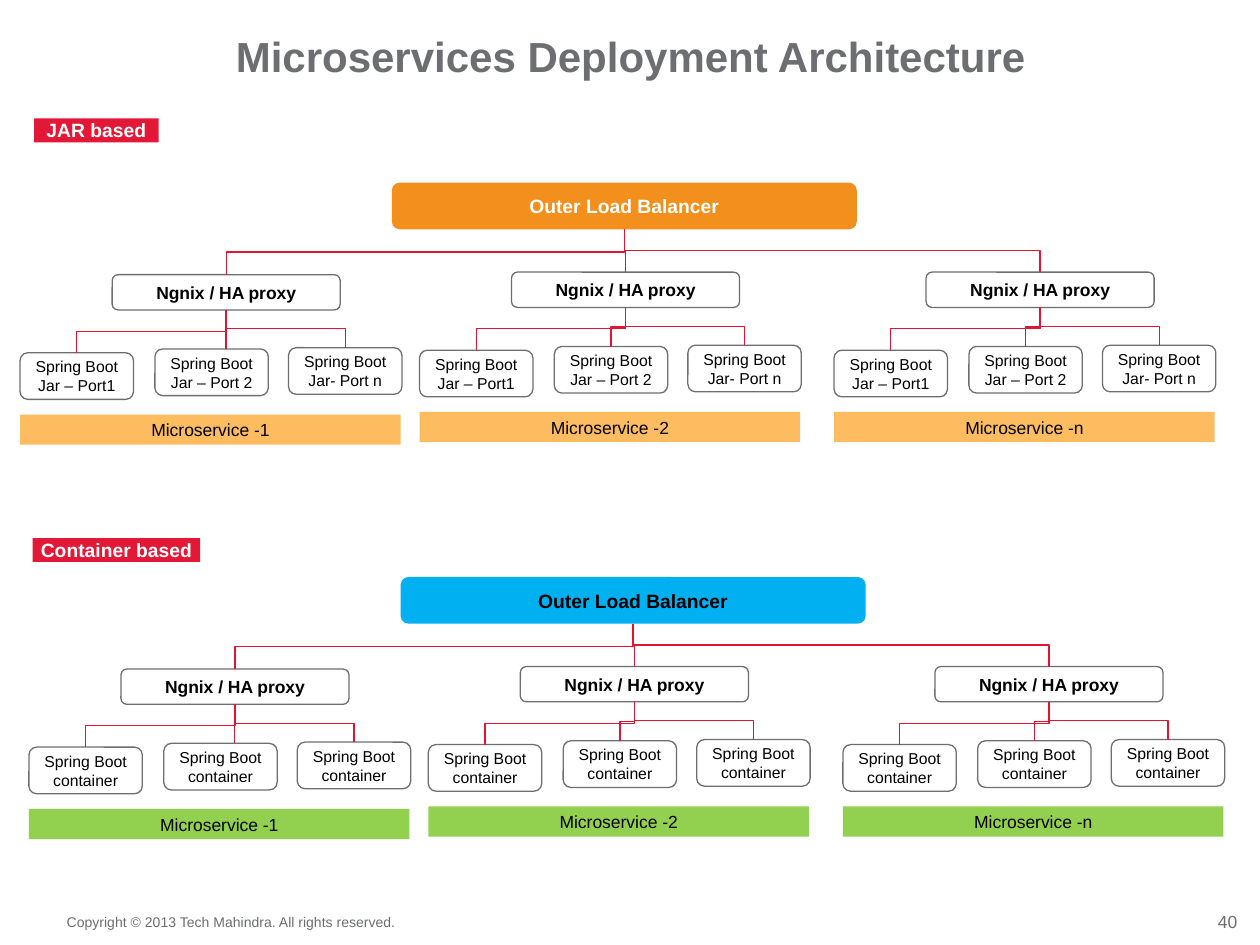
from lxml import etree
from pptx import Presentation
from pptx.dml.color import RGBColor
from pptx.enum.shapes import MSO_CONNECTOR as Link, MSO_SHAPE as Shape
from pptx.enum.text import MSO_ANCHOR as Anchor, MSO_AUTO_SIZE as Fit, PP_ALIGN as Align
from pptx.oxml.ns import qn
from pptx.util import Inches, Pt


def color(code):
    return RGBColor.from_string(code)


def write(frame, text, size=10, ink="000000", bold=False, align=Align.CENTER,
          anchor=Anchor.MIDDLE, wrap=True, tight=False):
    frame.word_wrap = wrap
    frame.vertical_anchor = anchor
    if tight:
        frame.margin_left = frame.margin_right = 0
        frame.margin_top = frame.margin_bottom = 0
        frame.auto_size = Fit.SHAPE_TO_FIT_TEXT
    para = frame.paragraphs[0]
    para.alignment = align
    span = para.add_run()
    span.text = text
    span.font.name = "Arial"
    span.font.size = Pt(size)
    span.font.bold = bold
    span.font.color.rgb = color(ink)


class Diagram:
    GREY = "6D6E71"
    LINK_RED = "E31332"
    LABEL_RED = "E31837"

    def __init__(self, page):
        self.page = page

    def text(self, at, text, **style):
        box = self.page.shapes.add_textbox(*map(Inches, at))
        write(box.text_frame, text, tight=True, **style)

    def box(self, at, text, fill="FFFFFF", kind=Shape.ROUNDED_RECTANGLE, line=None, **style):
        box = self.page.shapes.add_shape(kind, *map(Inches, at))
        box.shadow.inherit = False
        box.fill.solid()
        box.fill.fore_color.rgb = color(fill)
        if line:
            box.line.color.rgb = color(line)
            box.line.width = Pt(0.75)
        else:
            box.line.fill.background()
        write(box.text_frame, text, **style)

    def label(self, at, text):
        self.box(at, text, self.LABEL_RED, Shape.RECTANGLE, size=11, ink="FFFFFF",
                 bold=True, anchor=Anchor.TOP, tight=True)

    def branch(self, start, end):
        """Elbow that leaves downwards: a sideways elbow turned a quarter about its centre."""
        (x1, y1), (x2, y2) = start, end
        mid_x, mid_y = (x1 + x2) / 2, (y1 + y2) / 2
        half_run, half_drop = abs(x2 - x1) / 2, (y2 - y1) / 2
        rightward = x2 >= x1
        if rightward:
            half_drop = -half_drop
        ends = (mid_x - half_drop, mid_y - half_run, mid_x + half_drop, mid_y + half_run)
        link = self.page.shapes.add_connector(Link.ELBOW, *map(Inches, ends))
        link.line.color.rgb = color(self.LINK_RED)
        link.line.width = Pt(0.75)
        properties = link._element.spPr
        degrees = 270 if rightward else 90
        properties.find(qn("a:xfrm")).set("rot", str(degrees * 60000))
        etree.SubElement(properties, qn("a:effectLst"))

    def service(self, name, x, y, leaves, fill, straight_middle):
        """Proxy, its three instances and the name bar; x, y is the proxy's corner."""
        center = x + PROXY_W / 2
        self.box((x, y, PROXY_W, PROXY_H), "Ngnix / HA proxy", line=self.GREY, bold=True)
        for index, (text, (dx, dy)) in enumerate(zip(leaves, LEAF_OFFSETS)):
            self.box((x + dx, y + dy, LEAF_W, BOX_H), text, line=self.GREY, size=9)
            target = center if straight_middle and index == 1 else x + dx + LEAF_W / 2
            self.branch((center, y + PROXY_H), (target, y + dy))
        self.box((x - 0.73, y + 1.11, 3.02, 0.24), name, fill, Shape.RECTANGLE)

    def tree(self, dx, dy, leaves, fill, bar_fill, ink):
        left, top, width = 3.11 + dx, 1.45 + dy, 3.69
        self.box((left, top, width, BOX_H), "Outer Load Balancer", fill,
                 size=11, ink=ink, bold=True)
        for index, (name, x, y) in enumerate(SERVICES):
            self.service(name, x + dx, y + dy, leaves, bar_fill, straight_middle=index == 0)
            self.branch((left + width / 2, top + BOX_H), (x + dx + PROXY_W / 2, y + dy))


PROXY_W, PROXY_H = 1.81, 0.28
LEAF_W, BOX_H = 0.9, 0.37
LEAF_OFFSETS = [(-0.73, 0.62), (0.34, 0.59), (1.4, 0.58)]
SERVICES = [("Microservice -1", 0.89, 2.18),
            ("Microservice -2", 4.06, 2.16),
            ("Microservice -n", 7.35, 2.16)]
JARS = ["Spring Boot Jar – Port1", "Spring Boot Jar – Port 2", "Spring Boot Jar- Port n"]


def main():
    deck = Presentation()
    deck.slide_width, deck.slide_height = Inches(10), Inches(7.5)
    diagram = Diagram(deck.slides.add_slide(deck.slide_layouts[6]))

    # Footer
    diagram.text((9.65, 7.23, 0.17, 0.17), "40", ink=Diagram.GREY,
                 align=Align.RIGHT, wrap=False)
    diagram.text((0.53, 7.25, 2.66, 0.13), "Copyright © 2013 Tech Mahindra. All rights reserved.",
                 size=8, ink=Diagram.GREY, align=Align.LEFT, anchor=Anchor.TOP, wrap=False)

    # Deployment trees
    diagram.tree(0, 0, JARS, "F3901D", "FDBC5F", "FFFFFF")
    diagram.tree(0.07, 3.13, ["Spring Boot container"] * 3, "00B0F0", "92D050", "000000")

    # Title and section labels
    diagram.text((0.16, 0.24, 9.69, 0.4), "Microservices Deployment Architecture",
                 size=24, ink=Diagram.GREY, bold=True, anchor=Anchor.TOP)
    diagram.label((0.27, 0.94, 0.99, 0.19), "JAR based")
    diagram.label((0.26, 4.27, 1.33, 0.19), "Container based")

    deck.save("out.pptx")


if __name__ == "__main__":
    main()
